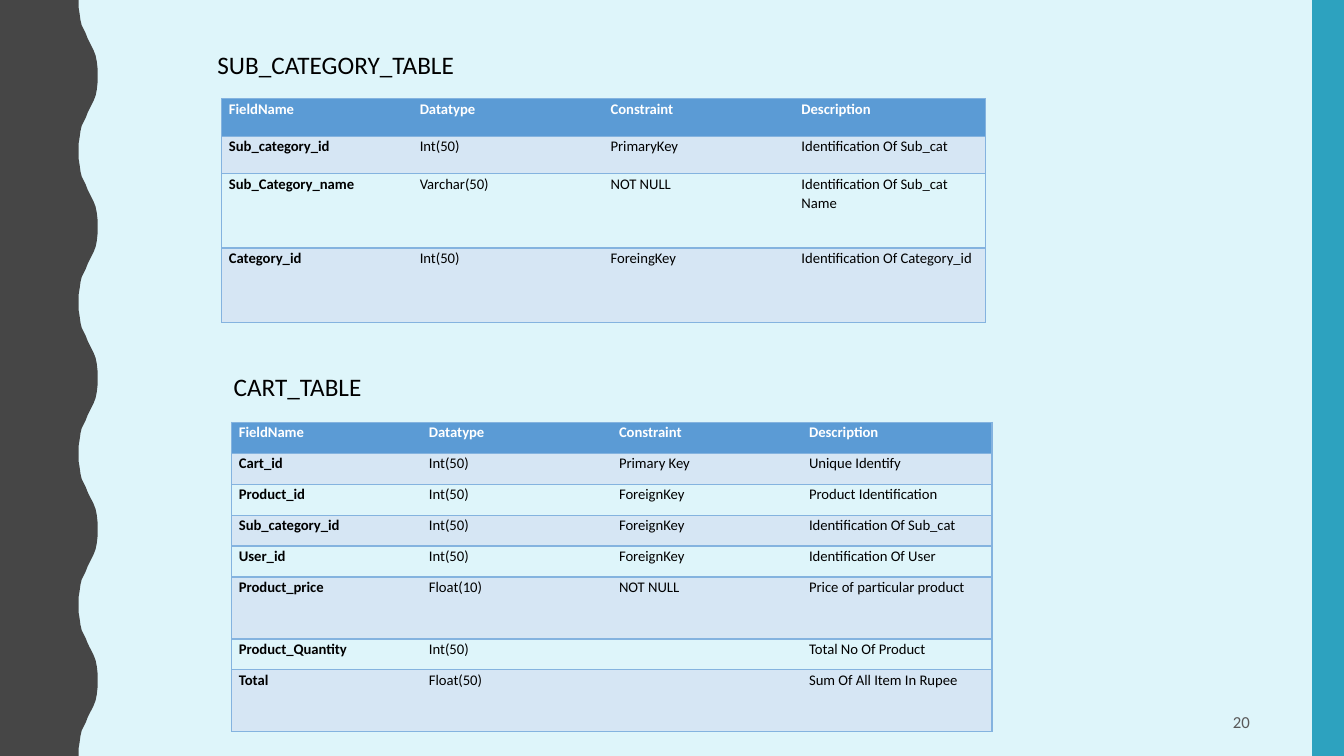
from dataclasses import dataclass

from lxml.etree import SubElement
from pptx import Presentation
from pptx.dml.color import RGBColor
from pptx.enum.shapes import MSO_SHAPE
from pptx.enum.text import MSO_ANCHOR, MSO_AUTO_SIZE, PP_ALIGN
from pptx.oxml.ns import qn
from pptx.shapes.base import BaseShape
from pptx.slide import Slide
from pptx.table import _Cell
from pptx.text.text import TextFrame, _Paragraph
from pptx.util import Cm, Pt

COLORS = {
    "background": "DEF5FA",
    "wave": "464646",
    "stripe": "2DA2BF",
    "header": "5B9BD5",
    "band": "D6E6F4",
    "border": "84B3DF",
    "white": "FFFFFF",
    "text": "000000",
    "number": "595959",
}
FONT = "Calibri"
CELL_SIZE = 10.5
SLIDE_WIDTH, SLIDE_HEIGHT = 33.87, 19.05

# Wave edge from trough to crest: (x, y) in cm
HALF_WAVE = [
    (1.98, 0), (1.98, 0.18), (2.01, 0.36), (2.03, 0.51), (2.06, 0.64),
    (2.11, 0.74), (2.16, 0.84), (2.21, 0.97), (2.26, 1.07), (2.31, 1.17),
    (2.36, 1.27), (2.41, 1.4), (2.44, 1.55), (2.46, 1.73), (2.46, 1.91),
]
WAVE_COUNT = 5
WAVE_PERIOD = SLIDE_HEIGHT / WAVE_COUNT

HEADER = ("FieldName", "Datatype", "Constraint", "Description")


@dataclass
class SchemaTable:
    title: str
    title_box: tuple[float, float, float, float]
    left: float
    top: float
    column_width: float
    row_unit: float
    tall_rows: set[int]
    fields: list[tuple[str, str, str, str]]


TABLES = [
    SchemaTable(
        "SUB_CATEGORY_TABLE", (5.23, 1.12, 6.53, 1.02), 5.59, 2.49, 4.81, 0.94, {2, 3},
        [
            ("Sub_category_id", "Int(50)", "PrimaryKey", "Identification Of Sub_cat"),
            ("Sub_Category_name", "Varchar(50)", "NOT NULL", "Identification Of Sub_cat\nName"),
            ("Category_id", "Int(50)", "ForeingKey", "Identification Of Category_id"),
        ],
    ),
    SchemaTable(
        "CART_TABLE", (5.64, 9.22, 3.76, 1.02), 5.84, 10.64, 4.79, 0.78, {5, 7},
        [
            ("Cart_id", "Int(50)", "Primary Key", "Unique Identify"),
            ("Product_id", "Int(50)", "ForeignKey", "Product Identification"),
            ("Sub_category_id", "Int(50)", "ForeignKey", "Identification Of Sub_cat"),
            ("User_id", "Int(50)", "ForeignKey", "Identification Of User"),
            ("Product_price", "Float(10)", "NOT NULL", "Price of particular product"),
            ("Product_Quantity", "Int(50)", "", "Total No Of Product"),
            ("Total", "Float(50)", "", "Sum Of All Item In Rupee"),
        ],
    ),
]


def color(name: str) -> RGBColor:
    return RGBColor.from_string(COLORS[name])


def add_run(paragraph: _Paragraph, text: str, size: float, color_name: str, bold: bool = False) -> None:
    run = paragraph.add_run()
    run.text = text
    run.font.name = FONT
    run.font.size = Pt(size)
    run.font.bold = bold
    run.font.color.rgb = color(color_name)


def paint(shape: BaseShape, color_name: str) -> None:
    shape.shadow.inherit = False
    shape.fill.solid()
    shape.fill.fore_color.rgb = color(color_name)
    shape.line.fill.background()


def add_background(slide: Slide) -> None:
    slide.background.fill.solid()
    slide.background.fill.fore_color.rgb = color("background")

    # Wavy band on the left: each wave is the half profile and its mirror
    wave = HALF_WAVE + [(x, WAVE_PERIOD - y) for x, y in reversed(HALF_WAVE[:-1])]
    edge = [(x, y + i * WAVE_PERIOD) for i in range(WAVE_COUNT) for x, y in wave]
    builder = slide.shapes.build_freeform(0, 0)
    builder.add_line_segments([(Cm(x), Cm(y)) for x, y in edge + [(0, SLIDE_HEIGHT)]])
    paint(builder.convert_to_shape(), "wave")

    # Stripe on the right
    stripe = slide.shapes.add_shape(
        MSO_SHAPE.RECTANGLE, Cm(33.07), 0, Cm(SLIDE_WIDTH - 33.07), Cm(SLIDE_HEIGHT))
    paint(stripe, "stripe")


def add_text_frame(slide: Slide, box: tuple[float, float, float, float]) -> TextFrame:
    return slide.shapes.add_textbox(*(Cm(length) for length in box)).text_frame


def set_borders(cell: _Cell, visible_sides: str) -> None:
    properties = cell._tc.get_or_add_tcPr()
    for side in "LRTB":
        line = SubElement(properties, qn(f"a:ln{side}"), w=str(Pt(1)))
        if side in visible_sides:
            fill = SubElement(line, qn("a:solidFill"))
            SubElement(fill, qn("a:srgbClr"), val=COLORS["border"])
        else:
            SubElement(line, qn("a:noFill"))


def fill_cell(cell: _Cell, text: str, row: int, column: int) -> None:
    cell.margin_left = cell.margin_right = Cm(0.18)
    cell.margin_top = cell.margin_bottom = 0
    set_borders(cell, "TB" + {0: "L", len(HEADER) - 1: "R"}.get(column, ""))
    if row == 0 or row % 2:
        cell.fill.solid()
        cell.fill.fore_color.rgb = color("band" if row else "header")
    else:
        cell.fill.background()

    for index, line in enumerate(text.split("\n")):
        frame = cell.text_frame
        paragraph = frame.add_paragraph() if index else frame.paragraphs[0]
        paragraph.line_spacing = 1.1
        if line:
            add_run(paragraph, line, CELL_SIZE, "text" if row else "white", row == 0 or column == 0)
        else:
            SubElement(paragraph._p, qn("a:endParaRPr"), sz=str(int(CELL_SIZE * 100)))


def add_schema_table(slide: Slide, schema: SchemaTable) -> None:
    # Title
    title = add_text_frame(slide, schema.title_box)
    title.word_wrap = False
    title.auto_size = MSO_AUTO_SIZE.SHAPE_TO_FIT_TEXT
    add_run(title.paragraphs[0], schema.title, 18, "text")

    # Table
    rows = [HEADER, *schema.fields]
    heights = [schema.row_unit * (2 if i in schema.tall_rows else 1) for i in range(len(rows))]
    table = slide.shapes.add_table(
        len(rows), len(HEADER), Cm(schema.left), Cm(schema.top),
        Cm(schema.column_width * len(HEADER)), Cm(sum(heights))).table
    table.first_row = table.horz_banding = False
    for column in table.columns:
        column.width = Cm(schema.column_width)
    for i, (texts, height) in enumerate(zip(rows, heights)):
        table.rows[i].height = Cm(height)
        for j, text in enumerate(texts):
            fill_cell(table.cell(i, j), text, i, j)


def add_slide_number(slide: Slide) -> None:
    frame = add_text_frame(slide, (23.93, 17.7, 7.82, 0.97))
    frame.word_wrap = True
    frame.vertical_anchor = MSO_ANCHOR.MIDDLE
    frame.paragraphs[0].alignment = PP_ALIGN.RIGHT
    add_run(frame.paragraphs[0], "20", 12, "number")


def main() -> None:
    presentation = Presentation()
    presentation.slide_width = Cm(SLIDE_WIDTH)
    presentation.slide_height = Cm(SLIDE_HEIGHT)
    slide = presentation.slides.add_slide(presentation.slide_layouts[6])
    add_background(slide)
    for schema in TABLES:
        add_schema_table(slide, schema)
    add_slide_number(slide)
    presentation.save("out.pptx")


if __name__ == "__main__":
    main()
